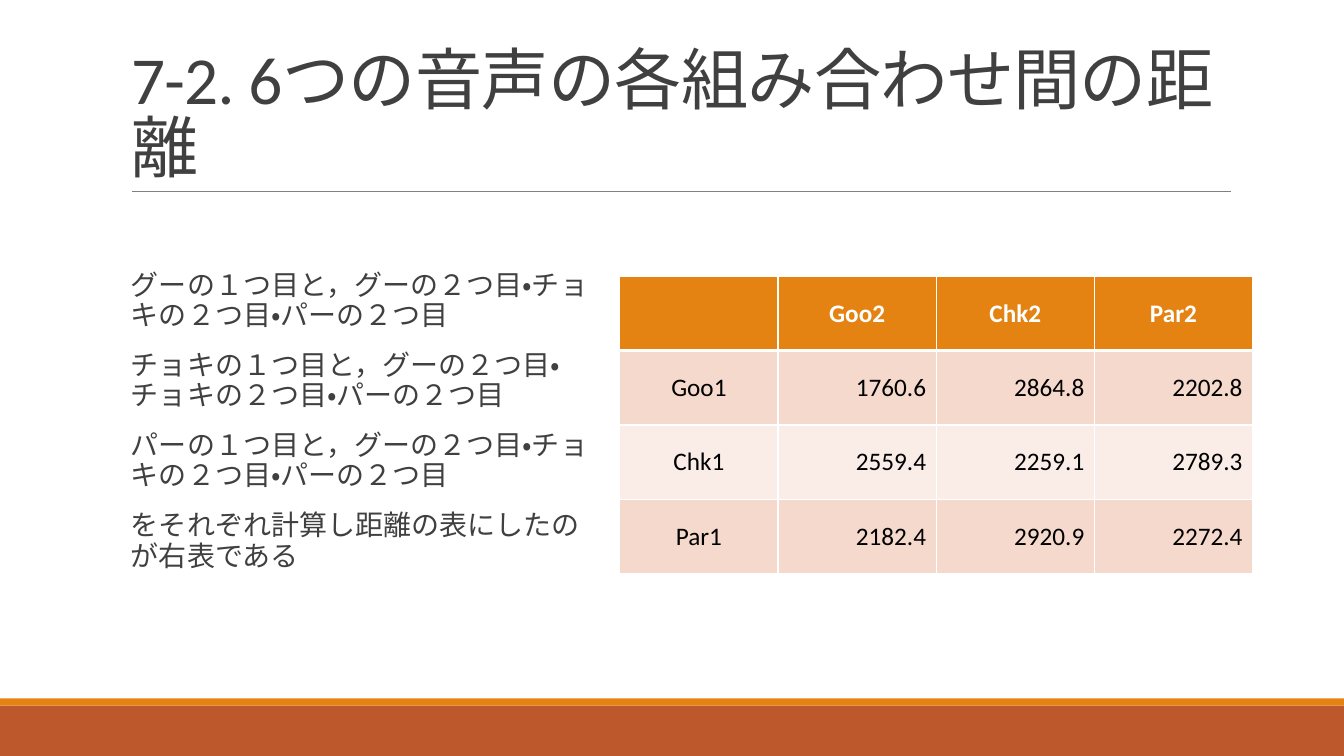
from lxml import etree
from pptx import Presentation
from pptx.dml.color import RGBColor
from pptx.enum.lang import MSO_LANGUAGE_ID
from pptx.enum.shapes import MSO_CONNECTOR, MSO_SHAPE
from pptx.enum.text import MSO_ANCHOR, MSO_AUTO_SIZE, PP_ALIGN
from pptx.oxml.ns import qn
from pptx.util import Cm, Pt

RECTANGLE = MSO_SHAPE.RECTANGLE
STRAIGHT = MSO_CONNECTOR.STRAIGHT
LEFT, CENTER, RIGHT = PP_ALIGN.LEFT, PP_ALIGN.CENTER, PP_ALIGN.RIGHT
MIDDLE, BOTTOM, TOP = MSO_ANCHOR.MIDDLE, MSO_ANCHOR.BOTTOM, MSO_ANCHOR.TOP
NO_AUTOFIT = MSO_AUTO_SIZE.NONE
JAPANESE = MSO_LANGUAGE_ID.JAPANESE

TITLE = "7-2. 6つの音声の各組み合わせ間の距離"
EXPLANATION = [
    "グーの１つ目と，グーの２つ目・チョキの２つ目・パーの２つ目",
    "チョキの１つ目と，グーの２つ目・チョキの２つ目・パーの２つ目",
    "パーの１つ目と，グーの２つ目・チョキの２つ目・パーの２つ目",
    "をそれぞれ計算し距離の表にしたのが右表である",
]
DISTANCES = [
    ["", "Goo2", "Chk2", "Par2"],
    ["Goo1", "1760.6", "2864.8", "2202.8"],
    ["Chk1", "2559.4", "2259.1", "2789.3"],
    ["Par1", "2182.4", "2920.9", "2272.4"],
]


def color(code):
    return RGBColor.from_string(code)


class SlideBuilder:
    font = "Calibri"
    ink = "404040"
    orange = "E48312"
    rust = "BD582C"
    bands = ["FAEDE7", "F5D9CC"]

    def __init__(self, page):
        self.page = page

    def place(self, shape, left, top, width, height):
        shape.left, shape.top = Cm(left), Cm(top)
        shape.width, shape.height = Cm(width), Cm(height)

    def add_span(self, para, text, size, code, bold=False):
        span = para.add_run()
        span.text = text
        span.font.name = self.font
        span.font.size = Pt(size)
        span.font.bold = bold
        span.font.color.rgb = color(code)
        span.font.language_id = JAPANESE
        return span

    def bar(self, top, height, code):
        box = self.page.shapes.add_shape(RECTANGLE, 0, Cm(top), Cm(33.87), Cm(height))
        box.shadow.inherit = False
        box.fill.solid()
        box.fill.fore_color.rgb = color(code)
        box.line.fill.background()

    def rule(self, left, right, top):
        line = self.page.shapes.add_connector(STRAIGHT, Cm(left), Cm(top), Cm(right), Cm(top))
        line.line.color.rgb = color("808080")
        line.line.width = Pt(0.5)
        etree.SubElement(line._element.spPr, qn("a:effectLst"))

    def title(self, text, *area):
        box = self.page.shapes.title
        self.place(box, *area)
        frame = box.text_frame
        frame.auto_size = NO_AUTOFIT
        frame.vertical_anchor = BOTTOM
        para = frame.paragraphs[0]
        para.alignment = LEFT
        para.line_spacing = 0.85
        span = self.add_span(para, text, 48, self.ink)
        span._r.get_or_add_rPr().set("spc", "-50")

    def bullet(self, para):
        props = para._p.get_or_add_pPr()
        props.set("marL", str(Cm(0.25)))
        props.set("indent", str(-Cm(0.25)))
        tint = etree.SubElement(props, qn("a:buClr"))
        etree.SubElement(tint, qn("a:srgbClr"), val=self.orange)
        etree.SubElement(props, qn("a:buChar"), char=" ")

    def body(self, lines, *area):
        box = self.page.placeholders[1]
        self.place(box, *area)
        frame = box.text_frame
        frame.auto_size = NO_AUTOFIT
        frame.vertical_anchor = TOP
        frame.margin_left = frame.margin_right = 0
        for index, text in enumerate(lines):
            para = frame.add_paragraph() if index else frame.paragraphs[0]
            para.alignment = LEFT
            para.line_spacing = 0.9
            para.space_before, para.space_after = Pt(12), Pt(2)
            self.bullet(para)
            self.add_span(para, text, 20, self.ink)

    def borders(self, cell, row):
        props = cell._tc.get_or_add_tcPr()
        widths = {"L": 1, "R": 1, "T": 3 if row == 1 else 1, "B": 1 if row else 3}
        for side, width in widths.items():
            edge = etree.SubElement(props, qn("a:ln" + side), w=str(Pt(width)))
            paint = etree.SubElement(edge, qn("a:solidFill"))
            etree.SubElement(paint, qn("a:srgbClr"), val="FFFFFF")

    def table(self, rows, left, top, width, height):
        frame = self.page.shapes.add_table(
            len(rows), len(rows[0]), Cm(left), Cm(top), Cm(width), Cm(height))
        for row, values in enumerate(rows):
            for column, text in enumerate(values):
                cell = frame.table.cell(row, column)
                self.borders(cell, row)
                cell.fill.solid()
                cell.fill.fore_color.rgb = color(self.bands[row % 2] if row else self.orange)
                cell.vertical_anchor = MIDDLE
                if text:
                    para = cell.text_frame.paragraphs[0]
                    para.alignment = RIGHT if row and column else CENTER
                    self.add_span(para, text, 18, "000000" if row else "FFFFFF", not row)


def main():
    deck = Presentation()
    deck.slide_width, deck.slide_height = Cm(33.87), Cm(19.05)
    slide = SlideBuilder(deck.slides.add_slide(deck.slide_layouts[1]))
    slide.bar(17.78, 1.27, slide.rust)
    slide.bar(17.6, 0.18, slide.orange)
    slide.rule(3.33, 31.01, 4.82)
    slide.title(TITLE, 3.05, 0.79, 27.94, 4.04)
    slide.body(EXPLANATION, 3.05, 6.71, 11.99, 8.03)
    slide.table(DISTANCES, 15.62, 6.96, 15.95, 7.5)
    deck.save("out.pptx")


if __name__ == "__main__":
    main()
